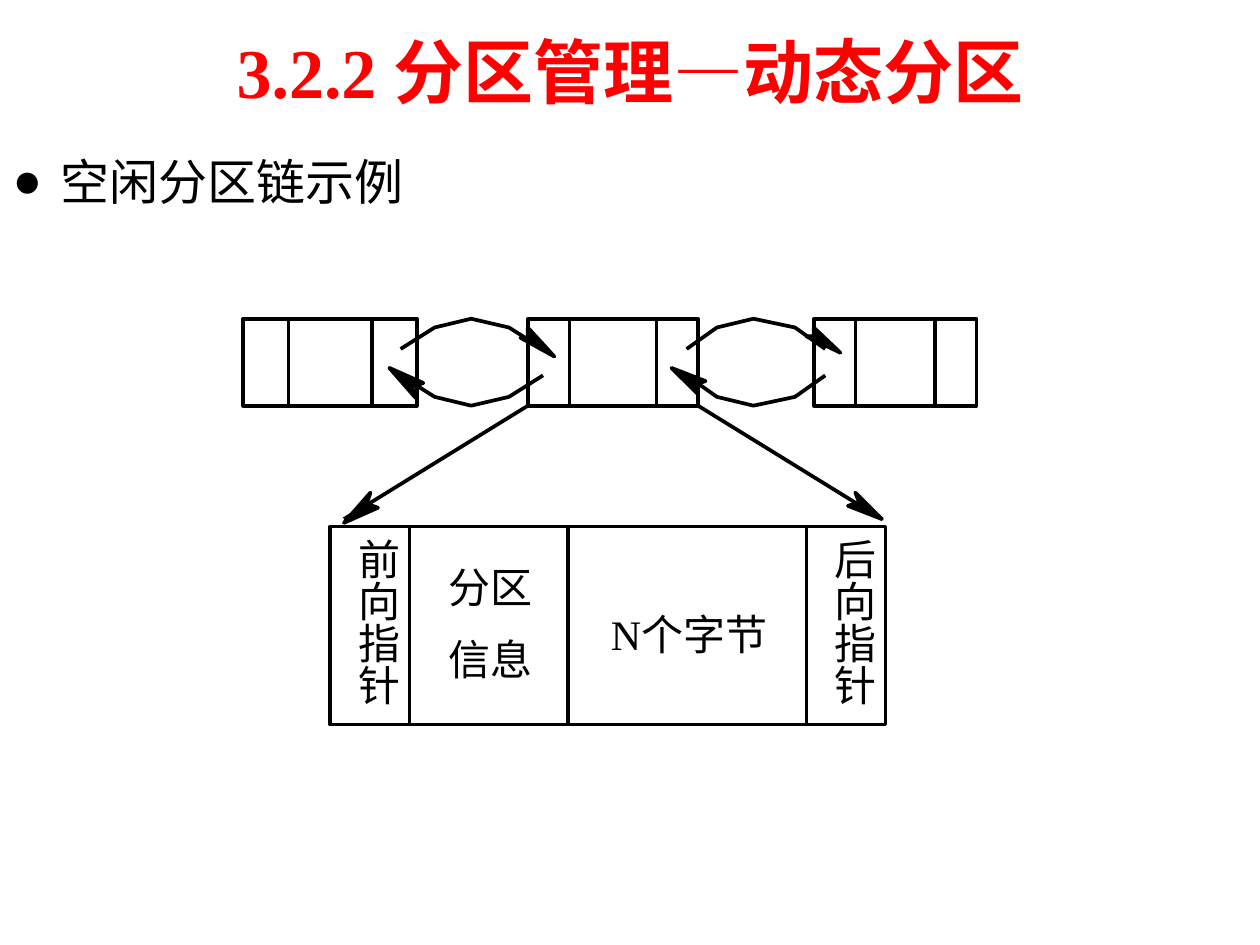
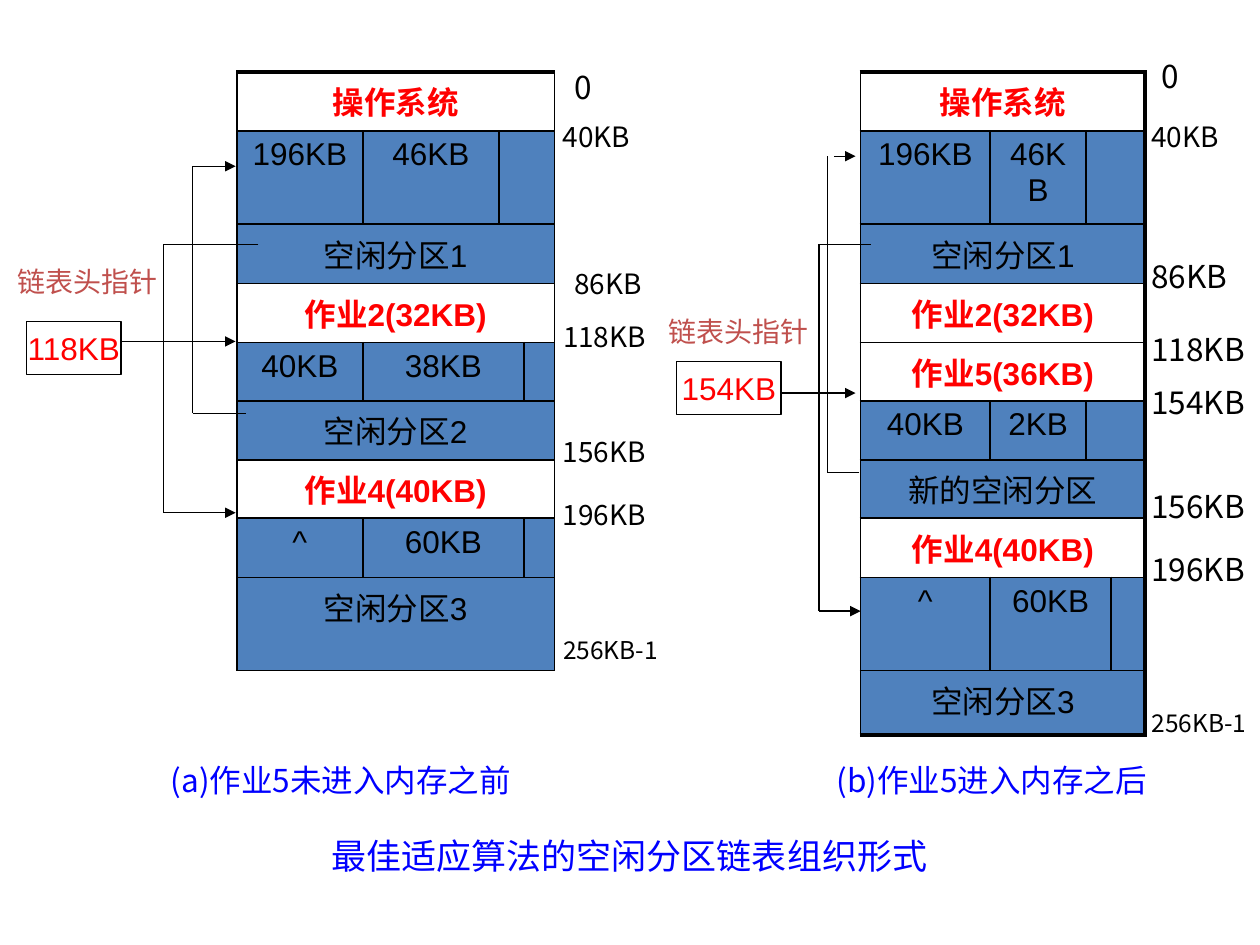
import pptx
import pptx.util
from lxml import etree
from pptx.dml.color import RGBColor
from pptx.enum.shapes import MSO_CONNECTOR, MSO_SHAPE
from pptx.enum.text import MSO_ANCHOR, MSO_AUTO_SIZE, PP_ALIGN
from pptx.oxml.ns import qn

Inches, Pt = pptx.util.Inches, pptx.util.Pt

BLACK = RGBColor(0, 0, 0)
WHITE = RGBColor(0xFF, 0xFF, 0xFF)
TITLE_RED = RGBColor(0xFE, 0, 0)
RED = RGBColor(0xFF, 0, 0)
BRICK = RGBColor(0xC0, 0x50, 0x4D)
BLUE = RGBColor(0, 0, 0xFF)
FREE_BLUE = RGBColor(0x4F, 0x81, 0xBD)
SERIF, SANS, CJK = "Times New Roman", "Arial", "Noto Sans CJK SC"
NO_STYLE_TABLE = "{2D5ABB26-0587-4C30-8999-92F81FD0307C}"

# Slide 1: chain of free partitions
TITLE = "3.2.2 分区管理—动态分区"
TOPIC = "空闲分区链示例"
NODE_TOP, NODE_H = 2.53, 0.69
NODES = [(1.93, [0.36, 0.66, 0.36]), (4.19, [0.33, 0.69, 0.33]), (6.46, [0.33, 0.63, 0.33])]
ARC_XS = [(3.18, 3.45, 3.74, 4.04, 4.31), (5.45, 5.69, 5.98, 6.31, 6.55)]
ARC_DEPTHS = (0.24, 0.07, 0, 0.07, 0.24)
ZOOM_LINES = [(4.19, 3.22, 2.73, 4.12), (5.54, 3.22, 7, 4.12)]
# Arrowhead outlines as shares of width and height, measured back from the tip
HOOKED = [(0.78, 1), (0.78, 0.65), (1, 0.65)]
NOTCHED = [(0.78, 1), (0.67, 0.63), (1, 0.5)]
HEADS = [  # tip x, tip y, width, height, outline
    (4.4, 2.83, -0.27, -0.23, HOOKED), (6.67, 2.8, -0.27, -0.2, HOOKED),
    (3.09, 2.92, 0.27, 0.24, NOTCHED), (5.33, 2.92, 0.27, 0.21, NOTCHED),
    (2.73, 4.15, 0.27, -0.24, NOTCHED), (7, 4.12, -0.27, -0.21, NOTCHED),
]
DETAIL_LEFT, DETAIL_TOP, DETAIL_H, DETAIL_UNIT = 2.62, 4.18, 1.57, 0.63
DETAIL = [("前向指针", 1), ("", 2), ("", 3), ("后向指针", 1)]
DETAIL_LABELS = [(["N个字节"], 4.75, 4.78, 1.5, 0.5), (["分区", "信息"], 3.46, 4.41, 1.1, 1.1)]

# Slide 2: memory before and after job 5
TABLE_LEFT, TABLE_TOP = 1.21, 0.57
COLS = [0.67, 1, 1.08, 0.2, 0.23, 2.43, 1.03, 0.76, 0.2, 0.27]
ROWS = [0.47, 0.74, 0.47, 0.47, 0.42, 0.47, 0.42, 0.47, 0.74, 0.51]
BLANKS = [(0, 0, 8, 0), (0, 5, 8, 5), (9, 0, 9, 5)]
USED, FREE = "used", "free"
BEFORE = [  # state, then (text, columns) for each cell
    (USED, ("操作系统", 4)),
    (FREE, ("196KB", 1), ("46KB", 1), ("", 2)),
    (FREE, ("空闲分区1", 4)),
    (USED, ("作业2(32KB)", 4)),
    (FREE, ("40KB", 1), ("38KB", 2), ("", 1)),
    (FREE, ("空闲分区2", 4)),
    (USED, ("作业4(40KB)", 4)),
    (FREE, ("^", 1), ("60KB", 2), ("", 1)),
    (FREE, ("空闲分区3", 4)),
]
AFTER = BEFORE[:4] + [
    (USED, ("作业5(36KB)", 4)),
    (FREE, ("40KB", 1), ("2KB", 1), ("", 2)),
    (FREE, ("新的空闲分区", 4)),
    (USED, ("作业4(40KB)", 4)),
    (FREE, ("^", 1), ("60KB", 2), ("", 1)),
    (FREE, ("空闲分区3", 4)),
]
MEMORY_MAPS = [(1, BEFORE, 1, 0), (6, AFTER, 2.25, 2.25)]  # column, rows, right, bottom line
HEAD_POINTERS = [("118KB", 0.21, 2.55, 0.75), ("154KB", 5.37, 2.87, 0.83)]
HEAD_LABELS = [(0.04, 2.05, 1.42), (5.21, 2.45, 1.33)]
HEAD_ARROWS = [(0.96, 2.71, 1.87), (6.21, 3.12, 6.79)]
LINKS = [  # tail x, tail y, lane x, arrow start x, arrow y, arrow end x
    (1.95, 3.28, 1.53, 1.53, 1.32, 1.87), (2.05, 1.94, 1.3, 1.3, 4.07, 1.87),
    (6.82, 3.75, 6.57, 6.62, 1.24, 6.79), (6.91, 1.94, 6.5, 6.5, 4.85, 6.83),
]
ADDRESSES = [  # text, left, top, width, size
    ("0", 4.46, 0.49, 0.75, 18), ("40KB", 4.37, 0.9, 1, 16), ("86KB", 4.46, 2.07, 0.83, 16),
    ("118KB", 4.37, 2.49, 0.92, 16), ("156KB", 4.37, 3.4, 1, 16),
    ("196KB", 4.37, 3.9, 1, 16), ("256KB-1", 4.37, 4.99, 1.08, 14),
    ("0", 9.12, 0.4, 0.5, 18), ("40KB", 9.04, 0.9, 0.83, 16), ("86KB", 9.04, 1.99, 0.96, 18),
    ("118KB", 9.04, 2.57, 0.96, 18), ("154KB", 9.04, 2.99, 0.96, 18),
    ("156KB", 9.04, 3.82, 0.96, 18), ("196KB", 9.04, 4.32, 0.96, 18),
    ("256KB-1", 9.04, 5.57, 0.96, 14),
]
CAPTIONS = [
    ("(a)作业5未进入内存之前", 1.12, 5.99, 3.17, 18, CJK),
    ("(b)作业5进入内存之后", 6.37, 5.99, 3, 18, CJK),
    ("最佳适应算法的空闲分区链表组织形式", 1.87, 6.57, 6.25, 20, SANS),
]


def write(p, text, size, font, color=BLACK, bold=False, align=PP_ALIGN.LEFT, before=0):
    """Fill a paragraph; before is the space above it in percent of a line."""
    p.alignment = align
    if before:
        space = etree.Element(qn("a:spcBef"))
        etree.SubElement(space, qn("a:spcPct")).set("val", str(before * 1000))
        p._p.get_or_add_pPr().insert(0, space)
    r = p.add_run()
    r.text = text
    r.font.size, r.font.name, r.font.bold = Pt(size), font, bold
    r.font.color.rgb = color
    if font == CJK:
        etree.SubElement(r._r.get_or_add_rPr(), qn("a:ea")).set("typeface", font)


def place(s, left, top, width, height):
    s.left, s.top, s.width, s.height = map(Inches, (left, top, width, height))


def add_label(slide, lines, left, top, width, height, size, font, **style):
    s = slide.shapes.add_textbox(*map(Inches, (left, top, width, height)))
    tf = s.text_frame
    tf.word_wrap = True
    tf.auto_size = MSO_AUTO_SIZE.SHAPE_TO_FIT_TEXT
    for i, line in enumerate(lines):
        p = tf.add_paragraph() if i else tf.paragraphs[0]
        write(p, line, size, font, before=50, **style)


def set_look(s, weight, fill=None):
    s.shadow.inherit = False
    if fill is None:
        s.fill.background()
    else:
        s.fill.solid()
        s.fill.fore_color.rgb = fill
    s.line.color.rgb, s.line.width = BLACK, Pt(weight)


def add_box(slide, left, top, width, height, weight, fill=None):
    s = slide.shapes.add_shape(MSO_SHAPE.RECTANGLE, *map(Inches, (left, top, width, height)))
    set_look(s, weight, fill)
    return s


def add_outline(slide, points, weight, closed=False):
    points = [(Inches(x), Inches(y)) for x, y in points]
    builder = slide.shapes.build_freeform(*points[0])
    builder.add_line_segments(points[1:], close=closed)
    set_look(builder.convert_to_shape(), weight, BLACK if closed else None)


def add_line(slide, x1, y1, x2, y2, weight=0.75, arrow=False):
    s = slide.shapes.add_connector(MSO_CONNECTOR.STRAIGHT, *map(Inches, (x1, y1, x2, y2)))
    s.line.color.rgb, s.line.width = BLACK, Pt(weight)
    sp_pr = s._element.spPr
    if arrow:
        etree.SubElement(sp_pr.find(qn("a:ln")), qn("a:tailEnd")).set("type", "triangle")
    etree.SubElement(sp_pr, qn("a:effectLst"))


def set_borders(cell, **weights):
    """Draw the named sides (L, R, T, B); a zero weight leaves a side open."""
    tc_pr = cell._tc.get_or_add_tcPr()
    sides = [side for side in "LRTB" if weights.get(side)]
    for i, side in enumerate(sides):
        ln = etree.Element(qn("a:ln" + side))
        ln.set("w", str(Pt(weights[side])))
        fill = etree.SubElement(ln, qn("a:solidFill"))
        etree.SubElement(fill, qn("a:srgbClr")).set("val", str(BLACK))
        tc_pr.insert(i, ln)


def fill_memory_map(table, first_col, rows, right, bottom):
    for row, (state, *cells) in enumerate(rows):
        col = first_col
        top_line = 1 if row else 2.25
        bottom_line = bottom if row == len(rows) - 1 else 1
        for text, span in cells:
            last = col + span - 1
            right_line = right if last == first_col + 3 else 1
            cell = table.cell(row, col)
            if span > 1:
                cell.merge(table.cell(row, last))
            if state == FREE:
                cell.fill.solid()
                cell.fill.fore_color.rgb = FREE_BLUE
            set_borders(cell, L=1, R=right_line, T=top_line, B=bottom_line)
            for c in range(col + 1, last + 1):
                set_borders(table.cell(row, c), T=top_line, B=bottom_line,
                            R=right_line if c == last else 0)
            if text:
                write(cell.text_frame.paragraphs[0], text, 18, SANS,
                      RED if state == USED else BLACK, state == USED, PP_ALIGN.CENTER, 20)
            col = last + 1


def build_chain_slide(prs):
    slide = prs.slides.add_slide(prs.slide_layouts[1])
    title, body = slide.shapes.title, slide.placeholders[1]
    place(title, 0.5, 0.05, 9, 1.02)
    title.text_frame.vertical_anchor = MSO_ANCHOR.MIDDLE
    write(title.text_frame.paragraphs[0], TITLE, 40, SERIF, TITLE_RED, True, PP_ALIGN.CENTER)
    place(body, 0, 1.15, 10, 5.75)
    p = body.text_frame.paragraphs[0]
    write(p, TOPIC, 28, SERIF, before=20)
    p_pr = p._p.get_or_add_pPr()
    p_pr.set("marL", str(Inches(0.38)))
    p_pr.set("indent", str(Inches(-0.38)))
    etree.SubElement(p_pr, qn("a:buChar")).set("char", "●")

    for left, widths in NODES:
        for i, width in enumerate(widths):
            add_box(slide, left + sum(widths[:i]), NODE_TOP, width, NODE_H, 2.13, WHITE)
    for xs in ARC_XS:
        for edge, sign in ((NODE_TOP, 1), (NODE_TOP + NODE_H, -1)):
            add_outline(slide, [(x, edge + sign * d) for x, d in zip(xs, ARC_DEPTHS)], 2.13)
    for ends in ZOOM_LINES:
        add_line(slide, *ends, weight=2.13)
    for x, y, width, height, outline in HEADS:
        points = [(x + u * width, y + v * height) for u, v in outline]
        add_outline(slide, points + [(x, y)], 2.13, closed=True)

    left = DETAIL_LEFT
    for text, units in DETAIL:
        s = add_box(slide, left, DETAIL_TOP, units * DETAIL_UNIT, DETAIL_H, 2)
        if text:
            s.text_frame.vertical_anchor = MSO_ANCHOR.TOP
            s.text_frame._txBody.bodyPr.set("vert", "eaVert")
            write(s.text_frame.paragraphs[0], text, 24, SERIF, before=50)
        left += units * DETAIL_UNIT
    for lines, *area in DETAIL_LABELS:
        add_label(slide, lines, *area, 24, SERIF)


def build_memory_slide(prs):
    slide = prs.slides.add_slide(prs.slide_layouts[6])
    frame = slide.shapes.add_table(len(ROWS), len(COLS), Inches(TABLE_LEFT), Inches(TABLE_TOP),
                                   Inches(sum(COLS)), Inches(sum(ROWS)))
    table = frame.table
    table.first_row = table.horz_banding = False
    table._tbl.tblPr.find(qn("a:tableStyleId")).text = NO_STYLE_TABLE
    for col, width in zip(table.columns, COLS):
        col.width = Inches(width)
    for row, height in zip(table.rows, ROWS):
        row.height = Inches(height)
    for r1, c1, r2, c2 in BLANKS:
        table.cell(r1, c1).merge(table.cell(r2, c2))
    for memory_map in MEMORY_MAPS:
        fill_memory_map(table, *memory_map)

    for text, left, top, width in HEAD_POINTERS:
        s = add_box(slide, left, top, width, 0.42, 0.75, WHITE)
        s.text_frame.word_wrap = False
        s.text_frame.vertical_anchor = MSO_ANCHOR.MIDDLE
        write(s.text_frame.paragraphs[0], text, 18, SANS, RED, align=PP_ALIGN.CENTER)
    for left, top, width in HEAD_LABELS:
        add_label(slide, ["链表头指针"], left, top, width, 0.37, 16, CJK, color=BRICK)
    for x1, y, x2 in HEAD_ARROWS:
        add_line(slide, x1, y, x2, y, arrow=True)
    for tail_x, tail_y, lane_x, start_x, head_y, head_x in LINKS:
        add_line(slide, tail_x, tail_y, lane_x, tail_y)
        add_line(slide, lane_x, tail_y, lane_x, head_y)
        add_line(slide, start_x, head_y, head_x, head_y, arrow=True)
    for text, left, top, width, size in ADDRESSES:
        add_label(slide, [text], left, top, width, 0.37, size, CJK)
    for text, left, top, width, size, font in CAPTIONS:
        add_label(slide, [text], left, top, width, 0.4, size, font,
                  color=BLUE, align=PP_ALIGN.CENTER)


def main():
    prs = pptx.Presentation()
    prs.slide_width, prs.slide_height = Inches(10), Inches(7.5)
    build_chain_slide(prs)
    build_memory_slide(prs)
    prs.save("out.pptx")


if __name__ == "__main__":
    main()
